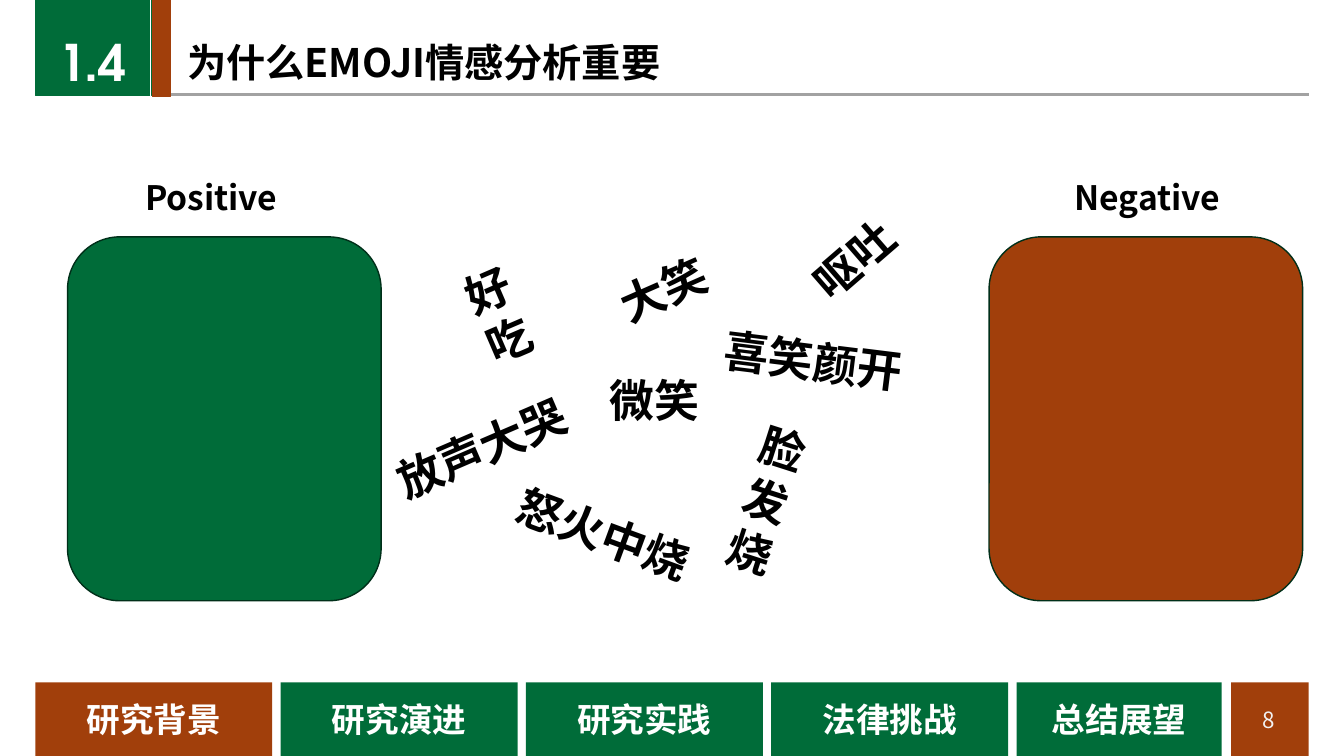
from lxml.etree import SubElement
from pptx import Presentation
from pptx.dml.color import RGBColor
from pptx.enum.shapes import MSO_CONNECTOR as Connector, MSO_SHAPE as Preset
from pptx.enum.text import MSO_ANCHOR as Anchor, PP_ALIGN as Align
from pptx.oxml.ns import qn
from pptx.util import Inches, Pt

SLIDE_W, SLIDE_H = 13.33, 7.5
COLORS = {"green": "006C39", "rust": "A13F0B", "outline": "002F19", "rule": "A2A2A2",
          "white": "FFFFFF", "pale": "F2F2F2", "black": "000000"}
SANS, GEOMETRIC = "Noto Sans CJK SC", "TeX Gyre Adventor"

SECTION = "1.4"
TITLE = "为什么EMOJI情感分析重要"
PAGE_NUMBER = "8"
TABS = ["研究背景", "研究演进", "研究实践", "法律挑战", "总结展望"]
ACTIVE_TAB = "研究背景"
BINS = [("Positive", "green", 0.67, 1.34, 1.53), ("Negative", "rust", 9.81, 10.56, 1.73)]
WORDS = [
    ("脸发烧", 7.28, 4.11, 17.8, (0.65, 1.72)),
    ("好吃", 4.61, 2.47, 336.7, (0.98, 1.18)),
    ("怒火中烧", 5, 4.98, 20.2, None),
    ("微笑", 5.95, 3.65, 0, None),
    ("大笑", 6.04, 2.55, 336.3, None),
    ("喜笑颜开", 7.08, 3.26, 7.1, None),
    ("放声大哭", 3.79, 4.12, 336.7, None),
    ("呕吐", 7.93, 2.25, 319.1, None),
]

MARGIN, RIGHT = 0.35, 12.98
PAGE_LEFT = 12.2
FOOTER_H = 0.73
FOOTER_TOP = SLIDE_H - FOOTER_H
TAB_W, TAB_GAP = 2.35, 0.083
BIN_TOP, BIN_W, BIN_H = 2.35, 3.11, 3.61
LABEL_TOP, LABEL_H = 1.71, 0.5
CHAR_W, WORD_PAD, WORD_H = 0.45, 0.2, 0.64

deck = Presentation()
deck.slide_width, deck.slide_height = Inches(SLIDE_W), Inches(SLIDE_H)
slide = deck.slides.add_slide(deck.slide_layouts[6])


def rgb(name):
    return RGBColor.from_string(COLORS[name])


def write(shape, text, size, color="black", bold=True, font=SANS, align=Align.LEFT,
          anchor=Anchor.TOP, wrap=True):
    frame = shape.text_frame
    for key, value in {"word_wrap": wrap, "vertical_anchor": anchor}.items():
        setattr(frame, key, value)
    para = frame.paragraphs[0]
    para.alignment = align
    span = para.add_run()
    span.text = text
    for key, value in {"size": Pt(size), "bold": bold, "name": font}.items():
        setattr(span.font, key, value)
    span.font.color.rgb = rgb(color)
    SubElement(span.font._element, qn("a:ea")).set("typeface", font)
    return para


def add_text(text, left, top, width, height, size, **style):
    box = slide.shapes.add_textbox(*map(Inches, (left, top, width, height)))
    return box, write(box, text, size, **style)


def add_block(left, top, width, height, fill, line=None, preset=Preset.RECTANGLE):
    block = slide.shapes.add_shape(preset, *map(Inches, (left, top, width, height)))
    block.shadow.inherit = False
    block.fill.solid()
    block.fill.fore_color.rgb = rgb(fill)
    if line:
        block.line.color.rgb = rgb(line)
        block.line.width = Pt(1)
    else:
        block.line.fill.background()
    return block


def add_line(x1, y1, x2, y2, color, weight):
    line = slide.shapes.add_connector(Connector.STRAIGHT, *map(Inches, (x1, y1, x2, y2)))
    line.line.color.rgb = rgb(color)
    line.line.width = Pt(weight)
    SubElement(line._element.spPr, qn("a:effectLst"))


add_line(1.7, 0.94, RIGHT, 0.94, "rule", 2.25)
add_block(PAGE_LEFT, FOOTER_TOP, RIGHT - PAGE_LEFT, FOOTER_H, "rust")
add_block(MARGIN, 0, 1.15, 0.95, "green", "green")
add_text(PAGE_NUMBER, 12.28, 6.95, 0.6, 0.37, 16, color="pale", bold=False,
         align=Align.CENTER, anchor=Anchor.MIDDLE)
add_block(1.51, 0, 0.18, 0.96, "rust", "rust")
add_line(1.49, 0, 1.49, 1.16, "white", 1)
add_line(PAGE_LEFT, 6.69, PAGE_LEFT, SLIDE_H, "white", 1)

for index, name in enumerate(TABS):
    left = MARGIN + index * (TAB_W + TAB_GAP)
    width = min(TAB_W, PAGE_LEFT - TAB_GAP - left)
    tab = add_block(left, FOOTER_TOP, width, FOOTER_H, "rust" if name == ACTIVE_TAB else "green")
    write(tab, name, 24, color="white", align=Align.CENTER, anchor=Anchor.MIDDLE)

title, heading = add_text(TITLE, 1.76, 0.38, 9.45, 0.53, 28, anchor=Anchor.MIDDLE)
heading.line_spacing = 0.9

badge, number = add_text(SECTION, 0.39, 0.26, 1.06, 0.71, 36, color="white", font=GEOMETRIC,
                         align=Align.CENTER)
for key, value in {"marL": Inches(0.25), "indent": -Inches(0.25)}.items():
    number._p.get_or_add_pPr().set(key, str(value))

for label, fill, left, label_left, label_w in BINS:
    add_block(left, BIN_TOP, BIN_W, BIN_H, fill, "outline", Preset.ROUNDED_RECTANGLE)
    add_text(label, label_left, LABEL_TOP, label_w, LABEL_H, 24, wrap=False)

for word, left, top, angle, stacked in WORDS:
    width, height = stacked or (CHAR_W * len(word) + WORD_PAD, WORD_H)
    box, para = add_text(word, left, top, width, height, 32, wrap=bool(stacked))
    box.rotation = angle

deck.save("out.pptx")
